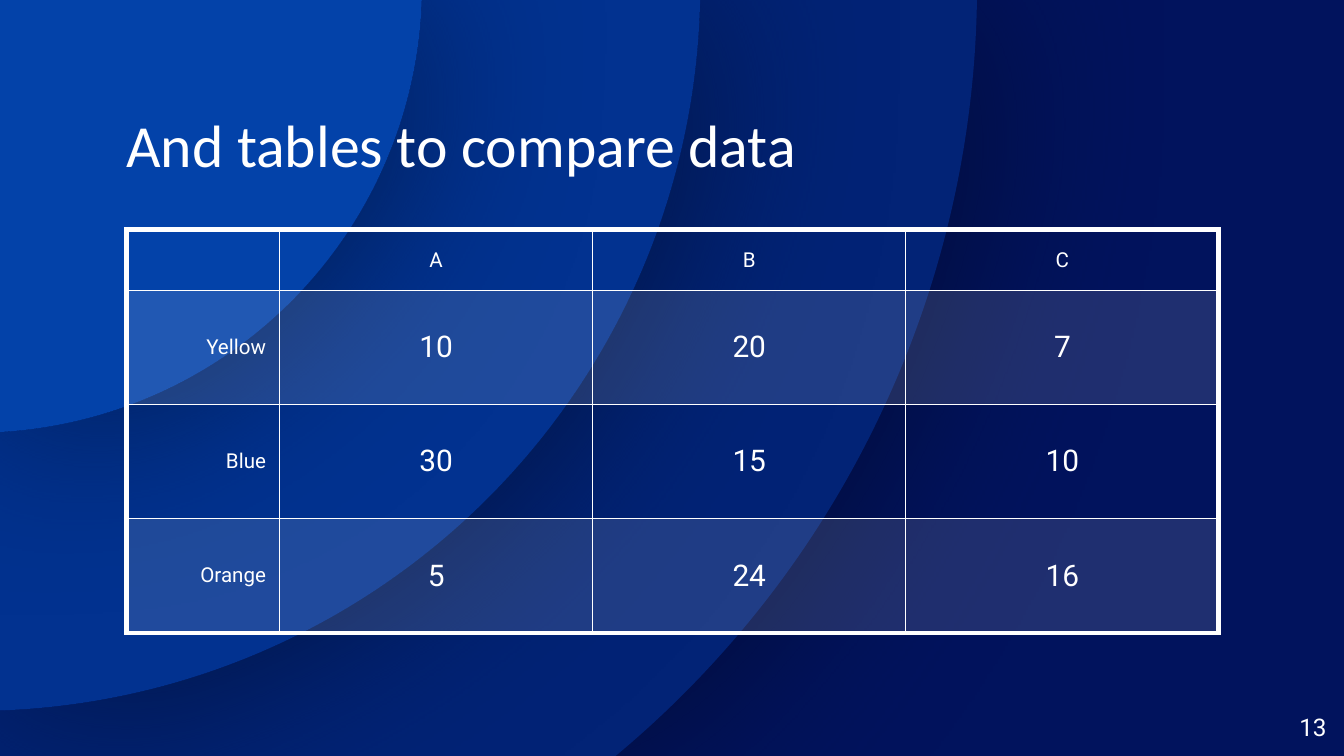
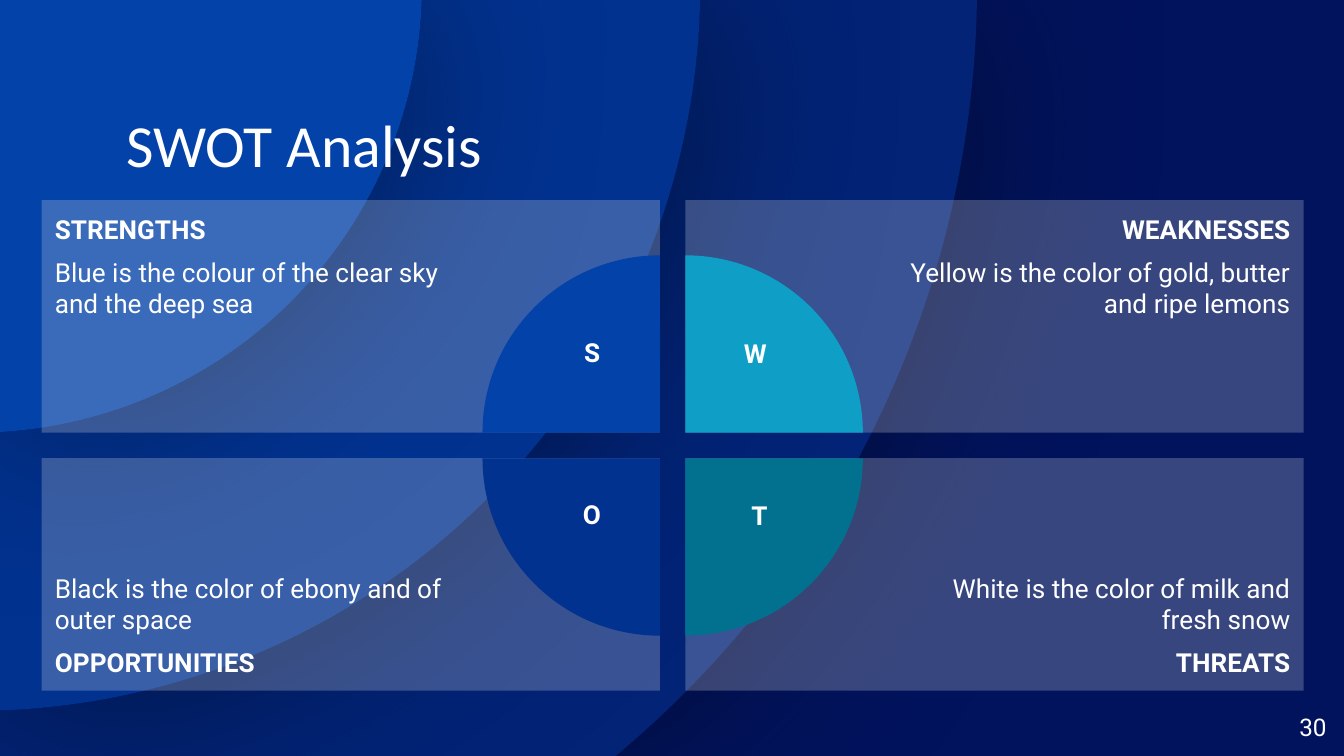
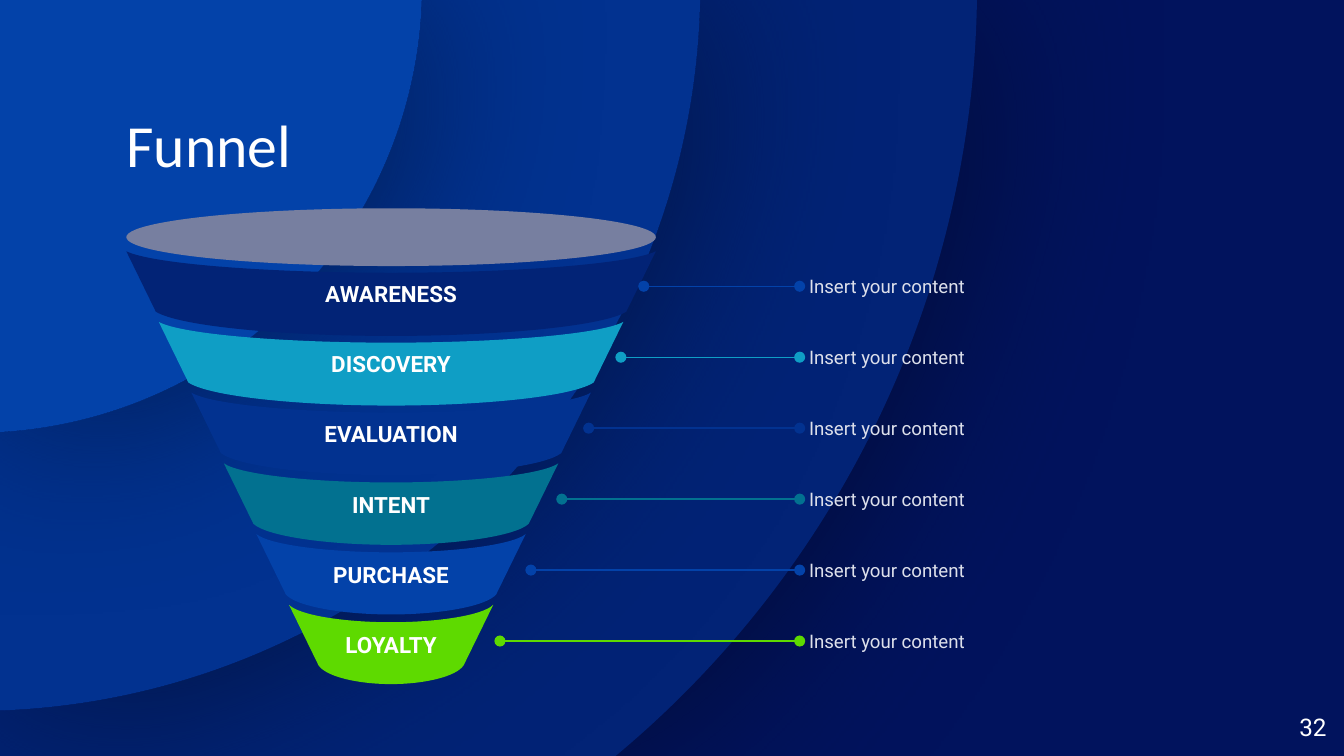
from dataclasses import dataclass
from math import asin, acos, cos, sin, tan

from lxml.etree import SubElement
from pptx import Presentation
from pptx.dml.color import RGBColor
from pptx.enum.shapes import MSO_CONNECTOR, MSO_SHAPE
from pptx.enum.text import MSO_ANCHOR, PP_ALIGN
from pptx.oxml.ns import qn
from pptx.util import Inches, Pt

# Shared look
WHITE, NIGHT, NAVY, COBALT, BLUE = "FFFFFF", "01135D", "022376", "023290", "0342A9"
CYAN, TEAL, LIME, GREY, PALE = "0F9EC5", "027190", "5EDA00", "777FA0", "DDE0EB"
SHADOW = "01050E"
TITLE_FONT, BODY_FONT = "Calibri", "Roboto"
WIDTH, HEIGHT = 10, 10 * 9 / 16
LEFT, CENTER, RIGHT = PP_ALIGN.LEFT, PP_ALIGN.CENTER, PP_ALIGN.RIGHT
TOP, MIDDLE, BOTTOM = MSO_ANCHOR.TOP, MSO_ANCHOR.MIDDLE, MSO_ANCHOR.BOTTOM
Point = tuple[float, float]
# A segment holds one point for a line, or two controls and an end for a curve
Segment = list[Point]


@dataclass
class Ring:
    inner: float
    outer: float
    color: str


@dataclass
class Line:
    text: str
    size: float
    color: str = WHITE
    bold: bool = False
    align: PP_ALIGN = LEFT
    font: str = BODY_FONT
    before: float = 0
    after: float = 0


@dataclass
class Quadrant:
    heading: str
    body: str
    letter: str
    color: str
    column: int
    row: int
    rotation: int
    letter_box: tuple[float, float, float, float]


@dataclass
class Stage:
    label: str
    color: str
    line_color: str
    line_start: float


RING_CENTER = (-0.19, -0.11)
RINGS = [Ring(5.4, 7.46, NAVY), Ring(3.33, 5.4, COBALT), Ring(0, 3.33, BLUE)]

TABLE_ROWS = [
    ["", "A", "B", "C"],
    ["Yellow", "10", "20", "7"],
    ["Blue", "30", "15", "10"],
    ["Orange", "5", "24", "16"],
]

QUADRANTS = [
    Quadrant("STRENGTHS", "Blue is the colour of the clear sky and the deep sea",
             "S", BLUE, 0, 0, 0, (4.2, 2.45, 0.41, 0.49)),
    Quadrant("WEAKNESSES", "Yellow is the color of gold, butter and ripe lemons",
             "W", CYAN, 1, 0, 90, (5.31, 2.46, 0.62, 0.47)),
    Quadrant("OPPORTUNITIES", "Black is the color of ebony and of outer space",
             "O", COBALT, 0, 1, 270, (4.16, 3.66, 0.49, 0.49)),
    Quadrant("THREATS", "White is the color of milk and fresh snow",
             "T", TEAL, 1, 1, 180, (5.44, 3.67, 0.42, 0.47)),
]

STAGES = [
    Stage("AWARENESS", NAVY, BLUE, 4.79),
    Stage("DISCOVERY", CYAN, CYAN, 4.62),
    Stage("EVALUATION", COBALT, COBALT, 4.38),
    Stage("INTENT", TEAL, TEAL, 4.18),
    Stage("PURCHASE", BLUE, BLUE, 3.95),
    Stage("LOYALTY", LIME, LIME, 3.72),
]
FUNNEL_CENTER = 2.91


# Drawing helpers
def rgb(color: str) -> RGBColor:
    return RGBColor.from_string(color)


def box(left: float, top: float, width: float, height: float) -> list:
    return [Inches(value) for value in (left, top, width, height)]


def paint(fill, color: str, opacity: int = 100) -> None:
    fill.solid()
    fill.fore_color.rgb = rgb(color)
    if opacity < 100:
        color_element = fill._xPr.find(qn("a:solidFill"))[0]
        SubElement(color_element, qn("a:alpha"), val=str(opacity * 1000))


def style_shape(shape, color: str, opacity: int = 100) -> None:
    paint(shape.fill, color, opacity)
    shape.line.fill.background()
    shape.shadow.inherit = False


def write(frame, lines: list[Line], anchor=TOP, insets=(0.1, 0.05, 0.1, 0.05)) -> None:
    frame.word_wrap = True
    frame.vertical_anchor = anchor
    (frame.margin_left, frame.margin_top,
     frame.margin_right, frame.margin_bottom) = box(*insets)
    for index, line in enumerate(lines):
        paragraph = frame.add_paragraph() if index else frame.paragraphs[0]
        write_line(paragraph, line)


def write_line(paragraph, line: Line) -> None:
    paragraph.text = line.text
    paragraph.alignment = line.align
    paragraph.space_before, paragraph.space_after = Pt(line.before), Pt(line.after)
    font = paragraph.font
    font.name, font.size, font.bold = line.font, Pt(line.size), line.bold
    font.color.rgb = rgb(line.color)


def add_label(slide, place: tuple, line: Line, **layout):
    label = slide.shapes.add_textbox(*box(*place))
    write(label.text_frame, [line], **layout)
    return label


def add_outline(shapes, start: Point, segments: list[Segment], color: str):
    """Draw a closed outline, turning each three-point segment into a curve."""
    corners = [(Inches(x), Inches(y)) for segment in segments for x, y in segment]
    builder = shapes.build_freeform(Inches(start[0]), Inches(start[1]), scale=1.0)
    builder.add_line_segments(corners, close=True)
    shape = builder.convert_to_shape()
    steps = iter(list(shape._element.spPr.iter(qn("a:lnTo"))))
    for segment in segments:
        first = next(steps)
        if len(segment) == 3:
            curve = first.makeelement(qn("a:cubicBezTo"))
            first.addprevious(curve)
            for step in (first, next(steps), next(steps)):
                curve.append(step[0])
                step.getparent().remove(step)
    style_shape(shape, color)
    return shape


def reverse_curves(start: Point, curves: list[Segment]) -> tuple[Point, list[Segment]]:
    points = [start] + [point for curve in curves for point in curve]
    points.reverse()
    return points[0], [points[i:i + 3] for i in range(1, len(points), 3)]


# Background, title and page number
def ring_arc(radius: float) -> tuple[Point, list[Segment]]:
    """Two curves from the top edge to the left or bottom edge of the slide."""
    center_x, center_y = RING_CENTER
    start = asin(-center_y / radius)
    end = min(acos(-center_x / radius), asin(min(1, (HEIGHT - center_y) / radius)))
    turn = (end - start) / 2
    handle = 4 / 3 * tan(turn / 4)

    def locate(angle: float, offset: float = 0) -> Point:
        return (center_x + radius * (cos(angle) - offset * sin(angle)),
                center_y + radius * (sin(angle) + offset * cos(angle)))

    curves = [[locate(angle, handle), locate(angle + turn, -handle), locate(angle + turn)]
              for angle in (start, start + turn)]
    return locate(start), curves


def add_ring(slide, ring: Ring) -> None:
    start, segments = ring_arc(ring.outer)
    if segments[-1][-1][0] > 0.01:
        segments.append([(0, HEIGHT)])
    if ring.inner:
        inner_start, inner_curves = reverse_curves(*ring_arc(ring.inner))
        segments += [[inner_start]] + inner_curves
    else:
        segments.append([(0, 0)])
    shape = add_outline(slide.shapes, start, segments, ring.color)
    effects = shape._element.spPr.find(qn("a:effectLst"))
    glow = SubElement(effects, qn("a:outerShdw"), blurRad=str(Pt(112.5)),
                      dist="0", dir="0", algn="ctr", rotWithShape="0")
    color = SubElement(glow, qn("a:srgbClr"), val=SHADOW)
    SubElement(color, qn("a:alpha"), val="50000")


def add_base_slide(presentation, title: str, number: int):
    slide = presentation.slides.add_slide(presentation.slide_layouts[6])
    paint(slide.background.fill, NIGHT)
    for ring in RINGS:
        add_ring(slide, ring)
    heading = add_label(slide, (0.94, 0.91, 8.13, 0.43), Line(title, 32, font=TITLE_FONT),
                        anchor=BOTTOM, insets=(0, 0, 0, 0))
    heading.text_frame.paragraphs[0].line_spacing = 0.9
    add_label(slide, (9.27, 5.19, 0.6, 0.43), Line(str(number), 13, align=RIGHT),
              anchor=MIDDLE, insets=(0, 0, 0, 0))
    return slide


# Table slide
def add_border(cell, side: str, width: float) -> None:
    border = SubElement(cell._tc.get_or_add_tcPr(), qn(f"a:ln{side}"), w=str(Pt(width)))
    SubElement(SubElement(border, qn("a:solidFill")), qn("a:srgbClr"), val=WHITE)


def style_cell(cell, text: str, row: int, column: int) -> None:
    is_label = row == 0 or column == 0
    cell.vertical_anchor = MIDDLE
    cell.margin_left = cell.margin_right = Inches(0.1)
    cell.margin_top = cell.margin_bottom = Inches(0.07)
    align = RIGHT if column == 0 else CENTER
    write_line(cell.text_frame.paragraphs[0], Line(text, 11 if is_label else 16, align=align))
    last = len(TABLE_ROWS) - 1
    outer_sides = {"L": column == 0, "R": column == last, "T": row == 0, "B": row == last}
    for side, is_outer in outer_sides.items():
        add_border(cell, side, 3 if is_outer else 0.75)
    if row % 2:
        paint(cell.fill, WHITE, 12)
    else:
        cell.fill.background()


def build_table_slide(presentation) -> None:
    slide = add_base_slide(presentation, "And tables to compare data", 13)
    widths, heights = [1.14] + [2.33] * 3, [0.45] + [0.85] * 3
    table = slide.shapes.add_table(
        len(heights), len(widths), *box(0.94, 1.71, sum(widths), sum(heights))).table
    table.first_row = table.horz_banding = False
    for column, width in zip(table.columns, widths):
        column.width = Inches(width)
    for row, height in zip(table.rows, heights):
        row.height = Inches(height)
    for row, texts in enumerate(TABLE_ROWS):
        for column, text in enumerate(texts):
            style_cell(table.cell(row, column), text, row, column)


# SWOT slide
def add_panel(slide, quadrant: Quadrant) -> None:
    left, top = 0.31 + 4.79 * quadrant.column, 1.49 + 1.92 * quadrant.row
    panel = slide.shapes.add_shape(MSO_SHAPE.RECTANGLE, *box(left, top, 4.6, 1.73))
    style_shape(panel, WHITE, 22)
    align = RIGHT if quadrant.column else LEFT
    lines = [Line(quadrant.heading, 14, bold=True, align=align),
             Line(quadrant.body, 14, align=align)]
    if quadrant.row:
        lines.reverse()
    lines[1].before = lines[1].after = 6
    insets = (1.5, 0.1, 0.1, 0.1) if quadrant.column else (0.1, 0.1, 1.5, 0.1)
    write(panel.text_frame, lines, BOTTOM if quadrant.row else TOP, insets)


def add_quarter(slide, quadrant: Quadrant) -> None:
    left, top = 3.59 + 0.19 * quadrant.column, 1.9 + 0.19 * quadrant.row
    quarter = slide.shapes.add_shape(MSO_SHAPE.PIE, *box(left, top, 2.64, 2.64))
    quarter.adjustments[0], quarter.adjustments[1] = 108, 162
    quarter.rotation = quadrant.rotation
    style_shape(quarter, quadrant.color)


def build_swot_slide(presentation) -> None:
    slide = add_base_slide(presentation, "SWOT Analysis", 30)
    for quadrant in QUADRANTS:
        add_panel(slide, quadrant)
    for quadrant in sorted(QUADRANTS, key=lambda item: item.rotation):
        add_quarter(slide, quadrant)
    for quadrant in QUADRANTS:
        add_label(slide, quadrant.letter_box,
                  Line(quadrant.letter, 14, bold=True, align=CENTER))


# Funnel slide
def sagging_curve(half_width: float, edge: float, middle: float) -> tuple[Point, list[Segment]]:
    """Two curves hanging between two edges, from left to right."""
    shoulder = edge + (middle - edge) * 0.6

    def locate(share: float, y: float) -> Point:
        return (FUNNEL_CENTER + half_width * share, y)

    curves = [[locate(-0.9, shoulder), locate(-0.46, middle), locate(0, middle)],
              [locate(0.46, middle), locate(0.9, shoulder), locate(1, edge)]]
    return locate(-1, edge), curves


def add_band(shapes, stage: Stage, index: int) -> None:
    share = index / (len(STAGES) - 1)
    half_width = 1.97 - 1.21 * share
    edge = 1.87 + 2.63 * share
    start, upper = sagging_curve(half_width, edge, 2.03 + 2.6 * share)
    corner, lower = reverse_curves(
        *sagging_curve(half_width - 0.22, edge + 0.45, 2.5 + 2.59 * share))
    band = add_outline(shapes, start, upper + [[corner]] + lower, stage.color)
    write(band.text_frame, [Line(stage.label, 12, bold=True, align=CENTER)],
          MIDDLE, (0.07, 0.04, 0.07, 0.04))


def add_callout(slide, stage: Stage, index: int) -> None:
    y = 2.13 + 2.64 * index / (len(STAGES) - 1)
    connector = slide.shapes.add_connector(
        MSO_CONNECTOR.STRAIGHT, *box(stage.line_start, y, 5.95, y))
    connector.line.color.rgb = rgb(stage.line_color)
    connector.line.width = Pt(0.75)
    properties = connector._element.spPr
    for end in ("a:headEnd", "a:tailEnd"):
        SubElement(properties.find(qn("a:ln")), qn(end), type="oval")
    SubElement(properties, qn("a:effectLst"))
    add_label(slide, (6.02, y - 0.19, 3.05, 0.38), Line("Insert your content", 10, PALE),
              anchor=MIDDLE, insets=(0, 0, 0, 0))


def build_funnel_slide(presentation) -> None:
    slide = add_base_slide(presentation, "Funnel", 32)
    funnel = slide.shapes.add_group_shape()
    for index, stage in enumerate(STAGES):
        add_band(funnel.shapes, stage, index)
    rim = funnel.shapes.add_shape(MSO_SHAPE.OVAL, *box(0.94, 1.55, 3.94, 0.43))
    style_shape(rim, GREY)
    for index, stage in enumerate(STAGES):
        add_callout(slide, stage, index)


def main() -> None:
    presentation = Presentation()
    presentation.slide_width, presentation.slide_height = Inches(WIDTH), Inches(HEIGHT)
    build_table_slide(presentation)
    build_swot_slide(presentation)
    build_funnel_slide(presentation)
    presentation.save("out.pptx")


if __name__ == "__main__":
    main()
